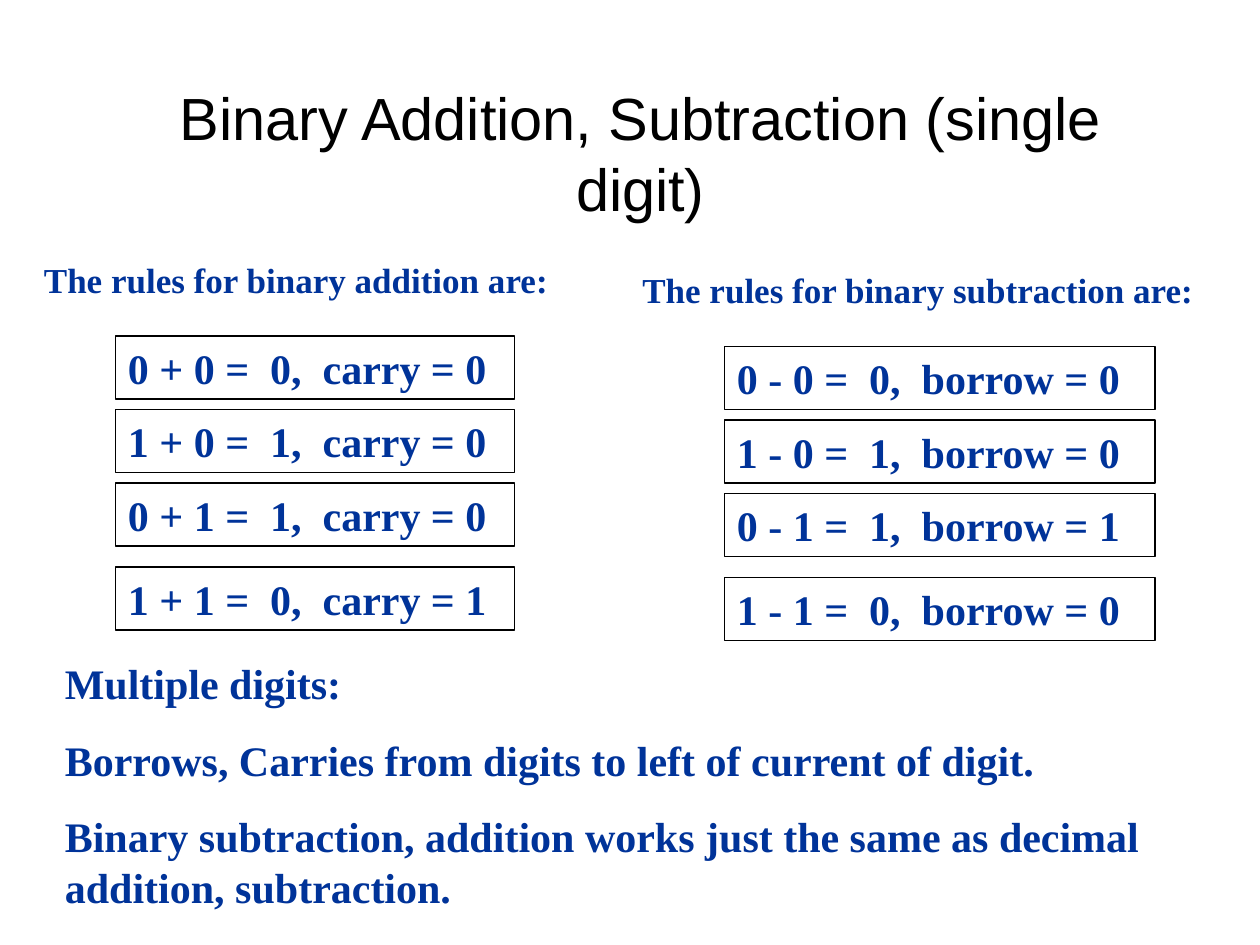
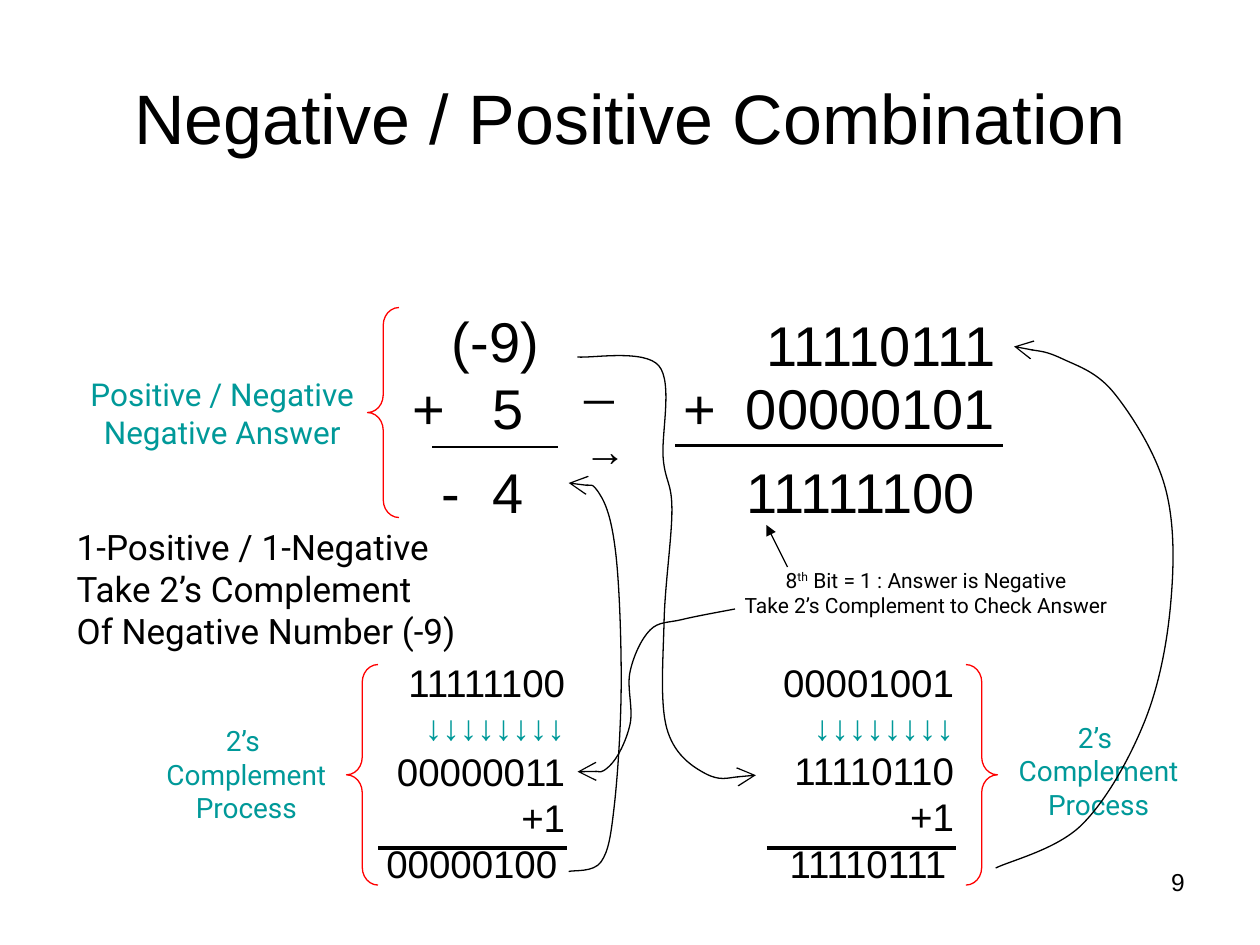
import pptx
import pptx.dml.color
import pptx.enum.shapes
import pptx.enum.text
import pptx.oxml
import pptx.oxml.ns
import pptx.util

Pt = pptx.util.Pt
KIND = pptx.enum.shapes.MSO_SHAPE
ALIGN = {
    "l": pptx.enum.text.PP_ALIGN.LEFT,
    "c": pptx.enum.text.PP_ALIGN.CENTER,
    "r": pptx.enum.text.PP_ALIGN.RIGHT,
}
ANCHOR = pptx.enum.text.MSO_ANCHOR

BLACK, NAVY, TEAL, RED = "000000", "003399", "009999", "FF0000"
SANS, SERIF, LABEL = "Arial", "Times New Roman", "Roboto"
RULE = dict(font=SERIF, color=NAVY, bold=True)


def paint(target, code):
    target.rgb = pptx.dml.color.RGBColor.from_string(code)


def node(parent, tag, **attrs):
    child = pptx.oxml.parse_xml(f"<a:{tag} {pptx.oxml.ns.nsdecls('a')}/>")
    for key, value in attrs.items():
        child.set(key, str(value))
    parent.append(child)
    return child


def write(frame, paras, size=18, font=SANS, color=BLACK, bold=False,
          align="l", before=0, spaces=(), stops=()):
    """Fill a frame; a paragraph is a string or a list of (text, changes) runs.

    spaces and stops hold line spacing and tab stops for each paragraph.
    """
    for i, para in enumerate(paras):
        item = frame.paragraphs[0] if i == 0 else frame.add_paragraph()
        item.alignment = ALIGN[align]
        item.space_before = Pt(before)
        if spaces:
            item.line_spacing = spaces[i]
        if stops:
            tabs = node(item._p.get_or_add_pPr(), "tabLst")
            for place, side in stops[i]:
                node(tabs, "tab", pos=int(Pt(place)), algn=side)
        for words, change in [(para, {})] if isinstance(para, str) else para:
            run = item.add_run()
            run.text = words
            run.font.name = font
            run.font.bold = bold
            run.font.size = Pt(change.get("size", size))
            paint(run.font.color, change.get("color", color))
            if "raised" in change:
                run._r.get_or_add_rPr().set("baseline", str(change["raised"]))


def text(slide, box, *paras, wrap=True, **style):
    frame = slide.shapes.add_textbox(*map(Pt, box)).text_frame
    frame.word_wrap = wrap
    write(frame, paras, **style)


def title(deck, words, box, size):
    """Add a title-only slide and set its title."""
    slide = deck.slides.add_slide(deck.slide_layouts[5])
    head = slide.shapes.title
    head.left, head.top, head.width, head.height = map(Pt, box)
    head.text_frame.vertical_anchor = ANCHOR.MIDDLE
    write(head.text_frame, [words], size=size, align="c")
    return slide


def ink(shape, color, width, **tip):
    """Style a line; tip holds the attributes of an arrowhead at its end."""
    paint(shape.line.color, color)
    shape.line.width = Pt(width)
    if tip:
        node(shape.line._get_or_add_ln(), "tailEnd", **tip)


def form(slide, kind, box, color):
    """Add an unfilled preset shape with a thin outline."""
    shape = slide.shapes.add_shape(kind, *map(Pt, box))
    shape.shadow.inherit = False
    shape.fill.background()
    ink(shape, color, 0.75)
    return shape


def brace(slide, kind, box):
    shape = form(slide, kind, box, RED)
    shape.adjustments[0] = 0.56


def line(slide, start, end, width, **tip):
    link = slide.shapes.add_connector(
        pptx.enum.shapes.MSO_CONNECTOR.STRAIGHT, *map(Pt, start + end))
    node(link._element.spPr, "effectLst")
    ink(link, BLACK, width, **tip)


def bend(knots):
    """Two control points and an end for each span of a smooth curve."""
    ends = [knots[0], *knots, knots[-1]]
    points = []
    for a, b, c, d in zip(ends, ends[1:], ends[2:], ends[3:]):
        points.append(tuple(q + (r - p) / 6 for p, q, r in zip(a, b, c)))
        points.append(tuple(r - (s - q) / 6 for q, r, s in zip(b, c, d)))
        points.append(c)
    return points


def curve(slide, *knots):
    """Draw an arrow that runs smoothly through the knots."""
    pen = slide.shapes.build_freeform(*map(Pt, knots[0]))
    pen.add_line_segments([(Pt(x), Pt(y)) for x, y in bend(knots)], close=False)
    shape = pen.convert_to_shape()
    shape.shadow.inherit = False
    shape.fill.background()
    ink(shape, BLACK, 0.75, type="arrow", w="lg", len="lg")
    route = shape._element.xpath(".//a:path")[0]
    steps = route.xpath("a:lnTo")
    for i in range(0, len(steps), 3):
        span = node(route, "cubicBezTo")
        for step in steps[i:i + 3]:
            span.append(step[0])
            route.remove(step)


def rules(slide, head, box, left, width, rows):
    """Add a heading and its boxed rules, the last one set apart."""
    text(slide, box, head, size=20, before=12.5, **RULE)
    for gap, row in zip((48, 90, 132, 180), rows):
        shape = form(slide, KIND.RECTANGLE, (left, box[1] + gap, width, 36), BLACK)
        shape.text_frame.vertical_anchor = ANCHOR.TOP
        write(shape.text_frame, [row], size=24, before=15, **RULE)


def flip(slide, left, top, bits, kind, edge, label):
    """Add a two's complement sum with its brace and label."""
    first, turned, total = bits
    arrows = [("↓" * 8, dict(size=20, color=TEAL))]
    text(slide, (left, top, 138, 137), first, arrows, turned, "+1",
         [(total, {}), (" ", dict(size=16))], size=22, align="r")
    line(slide, (left + 24, 484.5), (left + 132, 484.5), 2.25)
    brace(slide, kind, (edge, 379.75, 18, 126))
    text(slide, (*label, 111.5, 65), "2’s ", "Complement", "Process",
         wrap=False, size=16, font=LABEL, color=TEAL, align="c")


def single(deck):
    slide = title(deck, "Binary Addition, Subtraction (single digit)",
                  (60, 42, 612, 90), 34)
    rules(slide, "The rules for binary addition are:", (18, 144, 348, 32), 66, 228,
          ["0 + 0 =  0,  carry = 0", "1 + 0 =  1,  carry = 0",
           "0 + 1 =  1,  carry = 0", "1 + 1 =  0,  carry = 1"])
    rules(slide, "The rules for binary subtraction are:", (360, 150, 360, 32), 414, 246,
          ["0 - 0 =  0,  borrow = 0", "1 - 0 =  1,  borrow = 0",
           "0 - 1 =  1,  borrow = 1", "1 - 1 =  0,  borrow = 0"])
    text(slide, (30, 372.25, 690, 153), "Multiple digits:",
         "Borrows, Carries from digits to left of current of digit.",
         "Binary subtraction, addition works just the same as decimal "
         "addition, subtraction.", size=24, before=15, **RULE)


def mixed(deck):
    slide = title(deck, "Negative / Positive Combination", (36, 21.5, 648, 90), 40)
    text(slide, (516, 492, 168, 37.5), "9", size=14, align="r")
    text(slide, (36.75, 296.5, 245, 79), "1-Positive / 1-Negative",
         "Take 2’s Complement", "Of Negative Number (-9)",
         wrap=False, size=20, font=LABEL)
    text(slide, (41.5, 211, 171, 50), "Positive / Negative", "Negative Answer",
         wrap=False, size=18, font=LABEL, color=TEAL, align="c")
    brace(slide, KIND.LEFT_BRACE, (210, 175.75, 18, 120))

    text(slide, (228.5, 171.75, 97, 132), "\t(-9)", "+\t5", "\t-\t4", size=32,
         spaces=(1, 1, 1.25),
         stops=([(72.5, "r")], [(63.5, "r")], [(17, "l"), (63.5, "r")]))
    line(slide, (247, 255.5), (319, 255.5), 1.5)
    text(slide, (326.75, 210, 52.5, 36), "─→", size=24)

    text(slide, (372, 174, 204, 46), "11110111", size=32, align="r")
    text(slide, (383.25, 210, 210, 46), "+\t00000101", size=32,
         stops=([(178.5, "r")],))
    line(slide, (386, 254.75), (573, 254.75), 1.5)
    text(slide, (419.25, 258, 157, 46), "11111100", size=32)

    line(slide, (450, 324), (438, 300), 0.75, type="triangle")
    text(slide, (413.25, 320.5, 232, 36),
         [("8", {}), ("th", dict(raised=30000)), (" Bit = 1 : Answer is Negative", {})],
         "Take 2’s Complement to Check Answer",
         wrap=False, size=12, font=LABEL, align="c")

    flip(slide, 192, 373.25, ("11111100", "00000011", "00000100"),
         KIND.LEFT_BRACE, 198, (85, 410))
    flip(slide, 414.25, 373, ("00001001", "11110110", "11110111"),
         KIND.RIGHT_BRACE, 552, (572, 408))

    curve(slide, (330, 204), (376.5, 209), (379, 262), (384, 291),
          (379.5, 355), (381, 416), (403, 442), (432, 443))
    curve(slide, (569, 496), (618, 471.5), (654, 412.5), (669, 345),
          (666, 279), (637, 225), (607, 205), (579.5, 198))
    curve(slide, (420, 348), (390, 354), (371.5, 360), (360, 384),
          (360, 414), (348, 438), (330, 441))
    curve(slide, (325, 498), (343.5, 492.5), (351, 461), (355, 392.5),
          (352, 317), (342.5, 282), (325, 276))


def main():
    deck = pptx.Presentation()
    deck.slide_width, deck.slide_height = Pt(720), Pt(540)
    single(deck)
    mixed(deck)
    deck.save("out.pptx")


if __name__ == "__main__":
    main()
